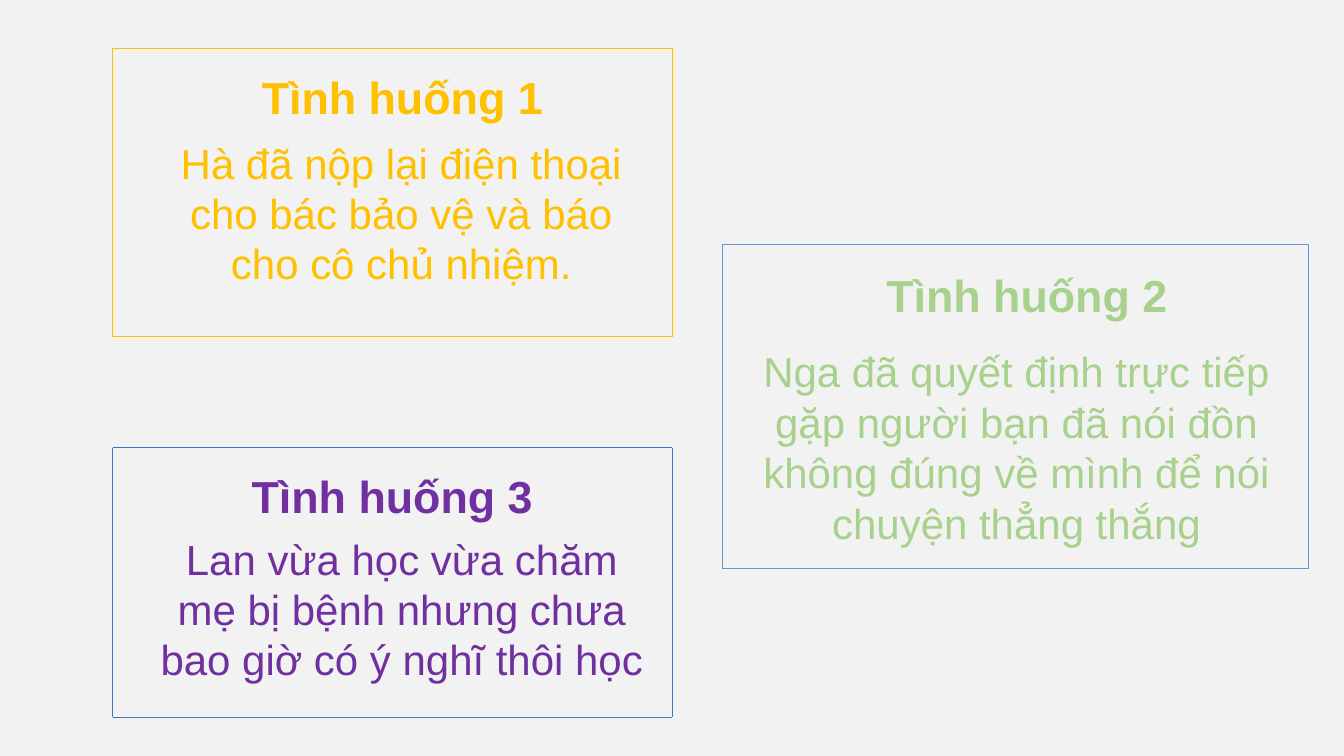
"""Build a slide with three outlined situations, each with a heading and a story."""
from lxml import etree
from pptx import Presentation
from pptx.dml.color import RGBColor
from pptx.enum.shapes import MSO_CONNECTOR as Connector
from pptx.enum.text import MSO_AUTO_SIZE as AutoSize, PP_ALIGN as Align
from pptx.oxml.ns import qn
from pptx.util import Cm, Pt

PALE_GREY = RGBColor(0xF2, 0xF2, 0xF2)
GOLD = RGBColor(0xFF, 0xC0, 0x00)
GREEN = RGBColor(0xA9, 0xD1, 0x8E)
PURPLE = RGBColor(0x70, 0x30, 0xA0)
SKY_BLUE = RGBColor(0x5B, 0x9B, 0xD5)
BLUE = RGBColor(0x44, 0x72, 0xC4)

SITUATIONS = [
    {
        "frame": (2.84, 1.22, 16.94, 8.48), "frame_color": GOLD, "color": GOLD,
        "heading": "Tình huống 1", "heading_at": (5.46, 1.63, 9.37, 1.63),
        "story": "Hà đã nộp lại điện thoại cho bác bảo vệ và báo cho cô chủ nhiệm.",
        "story_at": (4.11, 3.33, 12.01, 4.11),
    },
    {
        "frame": (18.21, 6.15, 32.97, 14.33), "frame_color": SKY_BLUE, "color": GREEN,
        "heading": "Tình huống 2", "heading_at": (20.6, 6.63, 10.57, 1.63),
        "story": "Nga đã quyết định trực tiếp gặp người bạn đã nói đồn "
                 "không đúng về mình để nói chuyện thẳng thắng",
        "story_at": (18.8, 8.59, 13.64, 5.38),
    },
    {
        "frame": (2.84, 11.28, 16.94, 18.08), "frame_color": BLUE, "color": PURPLE,
        "heading": "Tình huống 3", "heading_at": (4.29, 11.68, 11.2, 1.63),
        "story": "Lan vừa học vừa chăm mẹ bị bệnh nhưng chưa bao giờ có ý nghĩ thôi học",
        "story_at": (3.68, 13.31, 12.9, 4.11),
    },
]


def add_text(slide, text, *, at, size, color, bold=False):
    """Add a centred, wrapping text box."""
    box = slide.shapes.add_textbox(*map(Cm, at))
    frame = box.text_frame
    frame.word_wrap = True
    frame.auto_size = AutoSize.SHAPE_TO_FIT_TEXT
    paragraph = frame.paragraphs[0]
    paragraph.alignment = Align.CENTER
    run = paragraph.add_run()
    run.text = text
    run.font.name = "Arial"
    run.font.size = Pt(size)
    run.font.bold = bold
    run.font.color.rgb = color


def add_edge(slide, start, end, color):
    """Add one thin straight line without a shadow."""
    edge = slide.shapes.add_connector(Connector.STRAIGHT, *map(Cm, start + end))
    edge.line.color.rgb = color
    edge.line.width = Pt(0.5)
    etree.SubElement(edge.element.spPr, qn("a:effectLst"))


def add_frame(slide, bounds, color):
    """Outline a rectangle with four separate lines."""
    left, top, right, bottom = bounds
    for x in (left, right):
        add_edge(slide, (x, top), (x, bottom), color)
    for y in (top, bottom):
        add_edge(slide, (left, y), (right, y), color)


def add_situation(slide, situation):
    """Add the story, heading and frame of one situation."""
    color = situation["color"]
    add_text(slide, situation["story"], at=situation["story_at"], size=30, color=color)
    add_text(slide, situation["heading"], at=situation["heading_at"], size=32,
             color=color, bold=True)
    add_frame(slide, situation["frame"], situation["frame_color"])


def main():
    """Create the presentation and save it."""
    deck = Presentation()
    deck.slide_width, deck.slide_height = Cm(33.87), Cm(19.05)
    slide = deck.slides.add_slide(deck.slide_layouts.get_by_name("Blank"))
    slide.background.fill.solid()
    slide.background.fill.fore_color.rgb = PALE_GREY
    for situation in SITUATIONS:
        add_situation(slide, situation)
    deck.save("out.pptx")


if __name__ == "__main__":
    main()
